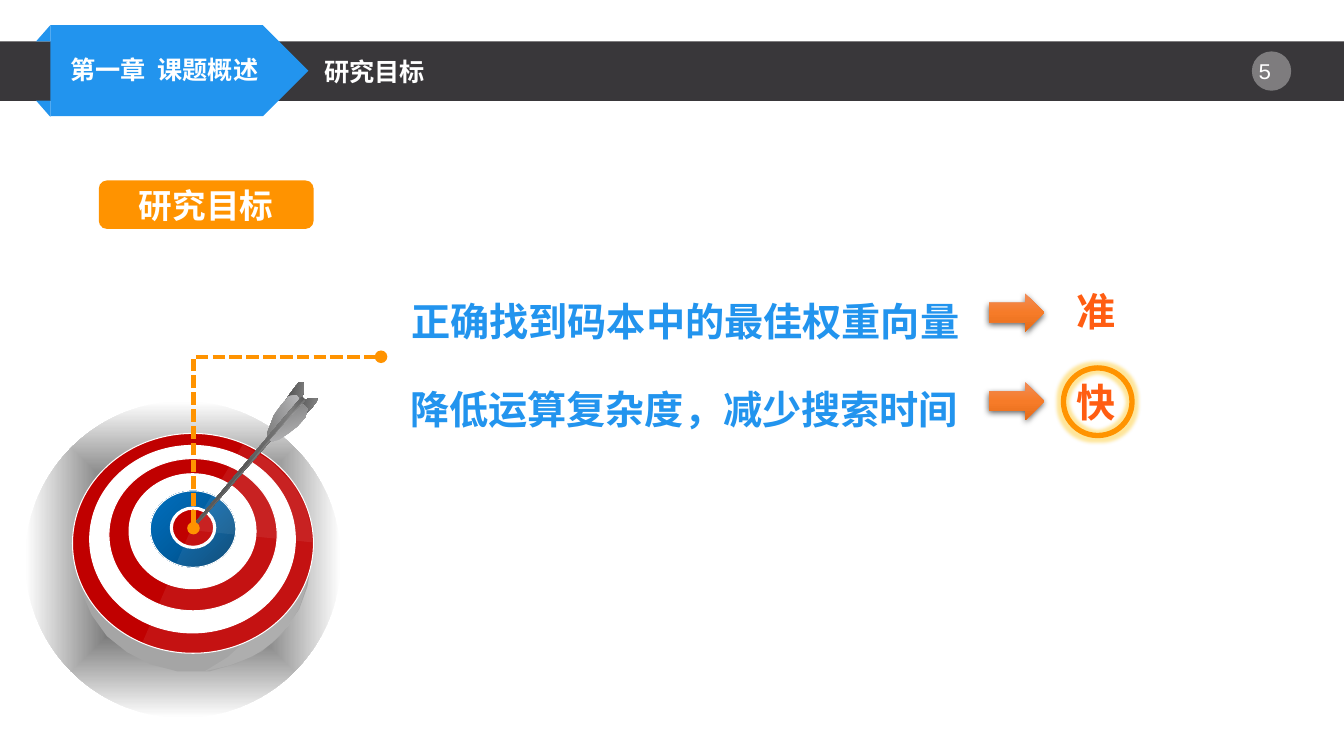
import pptx
import pptx.util
import pptx.dml.color
import pptx.enum.dml
import pptx.enum.shapes
import pptx.enum.text
import pptx.oxml
import pptx.oxml.ns

Pt = pptx.util.Pt
rgb = pptx.dml.color.RGBColor.from_string
qn = pptx.oxml.ns.qn
MSO = pptx.enum.shapes.MSO_SHAPE
NS = pptx.oxml.ns.nsdecls("a")

BLUE, ORANGE, WHITE, RED = "2294EE", "FF9300", "FFFFFF", "C00000"
CJK = "Noto Sans CJK SC"


def style(sp, fill, alpha=None, angle=None, line=None, width=0.75, effect=None):
    """Set fill (hex, or a list of gradient stops), outline and effect of a shape."""
    sp.shadow.inherit = False
    spPr = sp.element.spPr
    if isinstance(fill, str):
        sp.fill.solid()
        sp.fill.fore_color.rgb = rgb(fill)
        if alpha is not None:
            clr = spPr.find(qn("a:solidFill"))[0]
            clr.append(pptx.oxml.parse_xml(f'<a:alpha {NS} val="{alpha * 1000}"/>'))
    else:
        stops = "".join(f'<a:gs pos="{pos * 1000}"><a:srgbClr val="{c}"/></a:gs>' for pos, c in fill)
        if angle is None:
            shade = ('<a:path path="shape"><a:fillToRect l="50000" t="50000" '
                     'r="50000" b="50000"/></a:path>')
        else:
            shade = f'<a:lin ang="{angle * 60000}" scaled="0"/>'
        sp.fill.gradient()
        spPr.replace(spPr.find(qn("a:gradFill")), pptx.oxml.parse_xml(
            f'<a:gradFill {NS} rotWithShape="1"><a:gsLst>{stops}</a:gsLst>{shade}</a:gradFill>'))
    if line:
        sp.line.color.rgb = rgb(line)
        sp.line.width = Pt(width)
    else:
        sp.line.fill.background()
    if effect:
        spPr.find(qn("a:effectLst")).append(pptx.oxml.parse_xml(effect))


def write(sp, text, size=18, color=WHITE, font=CJK, bold=True, align="LEFT",
          anchor="TOP", spacing=None, wrap=True, inset=None):
    """Put one formatted line of text into a shape or text box."""
    tf = sp.text_frame
    tf.word_wrap = wrap
    tf.vertical_anchor = getattr(pptx.enum.text.MSO_ANCHOR, anchor)
    if inset is not None:
        tf.margin_left = tf.margin_right = tf.margin_top = tf.margin_bottom = Pt(inset)
    p = tf.paragraphs[0]
    p.alignment = getattr(pptx.enum.text.PP_ALIGN, align)
    if spacing:
        p.line_spacing = spacing
    r = p.add_run()
    r.text = text
    r.font.size, r.font.bold, r.font.name = Pt(size), bold, font
    r.font.color.rgb = rgb(color)
    r.font.element.append(pptx.oxml.parse_xml(f'<a:ea {NS} typeface="{CJK}"/>')) \
        if hasattr(r.font, "element") else r._r.get_or_add_rPr().append(
            pptx.oxml.parse_xml(f'<a:ea {NS} typeface="{CJK}"/>'))


prs = pptx.Presentation()
prs.slide_width, prs.slide_height = Pt(960), Pt(540)
s = prs.slides.add_slide(prs.slide_layouts[6])
shapes = s.shapes

# Header band, page number and chapter tag
sp = shapes.add_shape(MSO.RECTANGLE, Pt(0), Pt(29.5), Pt(960), Pt(42.5))
style(sp, "39373A")
sp = shapes.add_shape(MSO.OVAL, Pt(894.2), Pt(36.7), Pt(28.1), Pt(28.1))
style(sp, WHITE, alpha=35)
sp = shapes.add_textbox(Pt(882.7), Pt(37.4), Pt(51.1), Pt(26.6))
write(sp, "5 ", size=16, font="Courier New", bold=False, align="CENTER")
sp = shapes.add_shape(MSO.PENTAGON, Pt(36), Pt(18), Pt(184.3), Pt(65))
style(sp, BLUE)
for top, flips in [(18, ["flipH"]), (72, ["flipH", "flipV"])]:
    sp = shapes.add_shape(MSO.RIGHT_TRIANGLE, Pt(25.9), Pt(top), Pt(10.1), Pt(11.5))
    style(sp, BLUE)
    for flip in flips:
        sp.element.spPr.xfrm.set(flip, "1")
sp = shapes.add_textbox(Pt(43.2), Pt(35.3), Pt(402.5), Pt(28.8))
write(sp, "第一章  课题概述", anchor="MIDDLE")
sp = shapes.add_textbox(Pt(224.6), Pt(36.7), Pt(166.3), Pt(28.8))
write(sp, "研究目标")

# Section label
sp = shapes.add_shape(MSO.ROUNDED_RECTANGLE, Pt(70.6), Pt(128.9), Pt(153.4), Pt(34.6))
style(sp, ORANGE)
write(sp, "研究目标", size=24, align="CENTER", anchor="MIDDLE", inset=0)

# Target: shadow, base, rings, sheen, then the dart
DARK = [(0, "262626"), (13, "7F7F7F"), (53, "595959"), (100, "595959")]
SHAFT = [(0, "595959"), (12, "7F7F7F"), (53, "595959"), (100, "595959")]
LIGHT = [(0, "B9B9BB"), (99, "7F7F7F"), (100, "7F7F7F")]
HUB = [(0, "00416F"), (50, "005DA0"), (100, "0070C0")]

sp = shapes.add_shape(MSO.OVAL, Pt(18), Pt(286.6), Pt(225.4), Pt(226.1))
style(sp, [(0, "000000"), (100, WHITE)])

base = [(52.6, 399.6), (57.6, 421.2), (65.5, 439.2), (76.3, 454.3), (90.7, 465.8),
        (107.3, 474.5), (126.7, 479.5), (149.8, 479.5), (169.9, 473.8), (187.2, 465.1),
        (201.6, 452.9), (213.8, 434.9), (219.6, 419), (222.5, 401)]
wide_sheen = [(101.5, 459.4), (118.8, 465.1), (136.1, 467.3), (157.7, 465.1), (178.6, 457.9),
              (195.8, 446.4), (210.2, 432), (217.4, 417.6), (222.5, 401.8), (223.2, 380.9),
              (218.2, 361.4), (209.5, 345.6), (193, 329), (173.5, 317.5), (136.1, 378.7)]
top_sheen = [(136.8, 378.7), (223.2, 387.4), (222.5, 376.6), (218.9, 361.4), (209.5, 344.9),
             (198, 332.6), (182.9, 322.6)]
base_sheen = [(221, 409), (218.2, 420.5), (213.8, 434.2), (205.9, 447.1), (194.4, 459.4),
              (180.7, 468.7), (164.2, 475.2), (146.2, 479.5), (162.7, 469.4), (172.8, 460.1),
              (178.6, 457.9), (190.8, 450.7), (200.9, 442.1), (208.8, 433.4), (216, 422.6)]
back_vane = [(216.7, 286.6), (221, 284.4), (225.4, 284.4), (226.8, 285.1), (225.4, 288),
             (221.8, 292.3), (216.7, 297.4), (198.7, 307.4)]
top_vane = [(196.6, 305.3), (202.3, 288.7), (206.6, 282.2), (210.2, 277.2), (213.8, 272.9),
            (216.7, 273.6), (216.7, 279.4), (216, 285.8)]
left_vane = [(214.6, 286.6), (213.1, 283.7), (211.7, 282.2), (206.6, 283), (200.9, 289.4),
             (195.8, 296.6), (193, 303.8), (190.8, 309.6), (191.5, 311.8)]
shaft = [(136.1, 377.3), (139, 376.6), (218.2, 286.6), (217.4, 284.4), (215.3, 283.7)]
glint = [(137.5, 378), (217.4, 285.1), (218.2, 286.6), (217.4, 287.3)]
right_vane = [(216, 288.7), (218.2, 290.2), (219.6, 292.3), (218.2, 298.1), (212.4, 304.6),
              (205.9, 309.6), (199.4, 313.9), (194.4, 315.4), (193, 314.6)]
outlines = [(base, "A5A5A5", None, None), (wide_sheen, WHITE, 7, None),
            (top_sheen, WHITE, 7, None), (base_sheen, WHITE, 10, None),
            (back_vane, DARK, None, 190), (top_vane, DARK, None, 190),
            (left_vane, LIGHT, None, 160), (shaft, SHAFT, None, 160),
            (glint, WHITE, 14, None), (right_vane, LIGHT, None, 254)]
rings = [(51.8, 309.6, 172.1, 157, RED, None, 0.75), (64.1, 318.2, 146.9, 133.9, WHITE, None, 0.75),
         (77.8, 327.6, 120.2, 108.7, RED, None, 0.75), (92.2, 338.4, 90.7, 82.1, WHITE, None, 0.75),
         (107.3, 350.6, 61.2, 54.7, HUB, 225, 0.75), (122.4, 362.9, 31, 28.1, RED, None, 2.25)]
for points, fill, alpha, angle in outlines:
    start, *rest = [(Pt(x), Pt(y)) for x, y in points]
    builder = shapes.build_freeform(*start)
    builder.add_line_segments(rest, close=True)
    style(builder.convert_to_shape(), fill, alpha=alpha, angle=angle)
    if points is base:
        for left, top, width, height, ring, turn, border in rings:
            sp = shapes.add_shape(MSO.OVAL, Pt(left), Pt(top), Pt(width), Pt(height))
            style(sp, ring, angle=turn, line=WHITE, width=border)

# Dashed leader from the bullseye to the goals
cx = shapes.add_connector(pptx.enum.shapes.MSO_CONNECTOR.ELBOW,
                          Pt(138.2), Pt(377.3), Pt(272.2), Pt(254.9))
cx.line.color.rgb = rgb(ORANGE)
cx.line.width = Pt(3)
cx.line.dash_style = pptx.enum.dml.MSO_LINE.SQUARE_DOT
spPr = cx.element.spPr
for end in ("headEnd", "tailEnd"):
    spPr.find(qn("a:ln")).append(pptx.oxml.parse_xml(f'<a:{end} {NS} type="oval"/>'))
spPr.append(pptx.oxml.parse_xml(f"<a:effectLst {NS}/>"))
geom = spPr.find(qn("a:prstGeom"))
for old in list(geom):
    geom.remove(old)
geom.append(pptx.oxml.parse_xml(f'<a:avLst {NS}><a:gd name="adj1" fmla="val 0"/></a:avLst>'))

# Goals, each with an arrow to its keyword
SHADOW = (f'<a:outerShdw {NS} blurRad="{Pt(4.5)}" dist="{Pt(1.5)}" dir="5400000" rotWithShape="0">'
          '<a:srgbClr val="000000"><a:alpha val="63000"/></a:srgbClr></a:outerShdw>')
GLOW = (f'<a:glow {NS} rad="{Pt(5)}"><a:srgbClr val="FFC000">'
        '<a:alpha val="40000"/></a:srgbClr></a:glow>')
goals = [("降低运算复杂度，减少搜索时间", "快", 285.8, 254.9, 272.9, 266.4, True),
         ("正确找到码本中的最佳权重向量", "准", 286.6, 192.2, 209.5, 201.6, False)]
for goal, keyword, left, top, arrow_top, keyword_top, wrap in goals:
    sp = shapes.add_textbox(Pt(left), Pt(top), Pt(411), Pt(58.3))
    write(sp, goal, size=28, color=BLUE, spacing=1.5, wrap=wrap)
    sp = shapes.add_shape(MSO.RIGHT_ARROW, Pt(706.3), Pt(arrow_top), Pt(39.6), Pt(27.4))
    style(sp, [(0, "F18C57"), (50, "F67B28"), (100, "E56C19")], angle=90, effect=SHADOW)
    sp = shapes.add_textbox(Pt(761.8), Pt(keyword_top), Pt(51.8), Pt(41))
    write(sp, keyword, size=28, color="FF5D12", font="Calibri")

sp = shapes.add_shape(MSO.DONUT, Pt(758.2), Pt(261.4), Pt(51.8), Pt(51.1))
sp.adjustments[0] = 0.055
style(sp, ORANGE, line=ORANGE, width=1, effect=GLOW)

prs.save("out.pptx")
